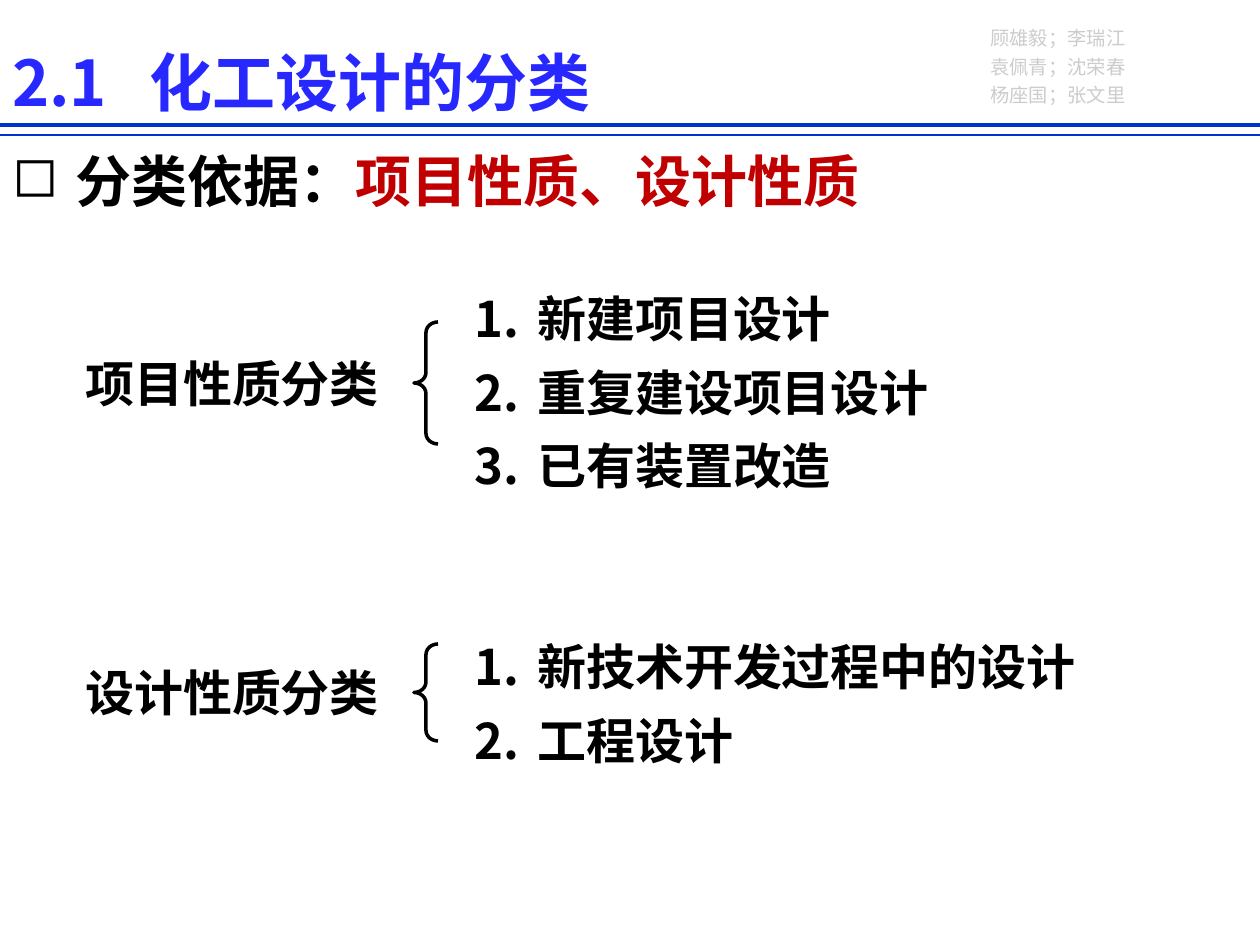
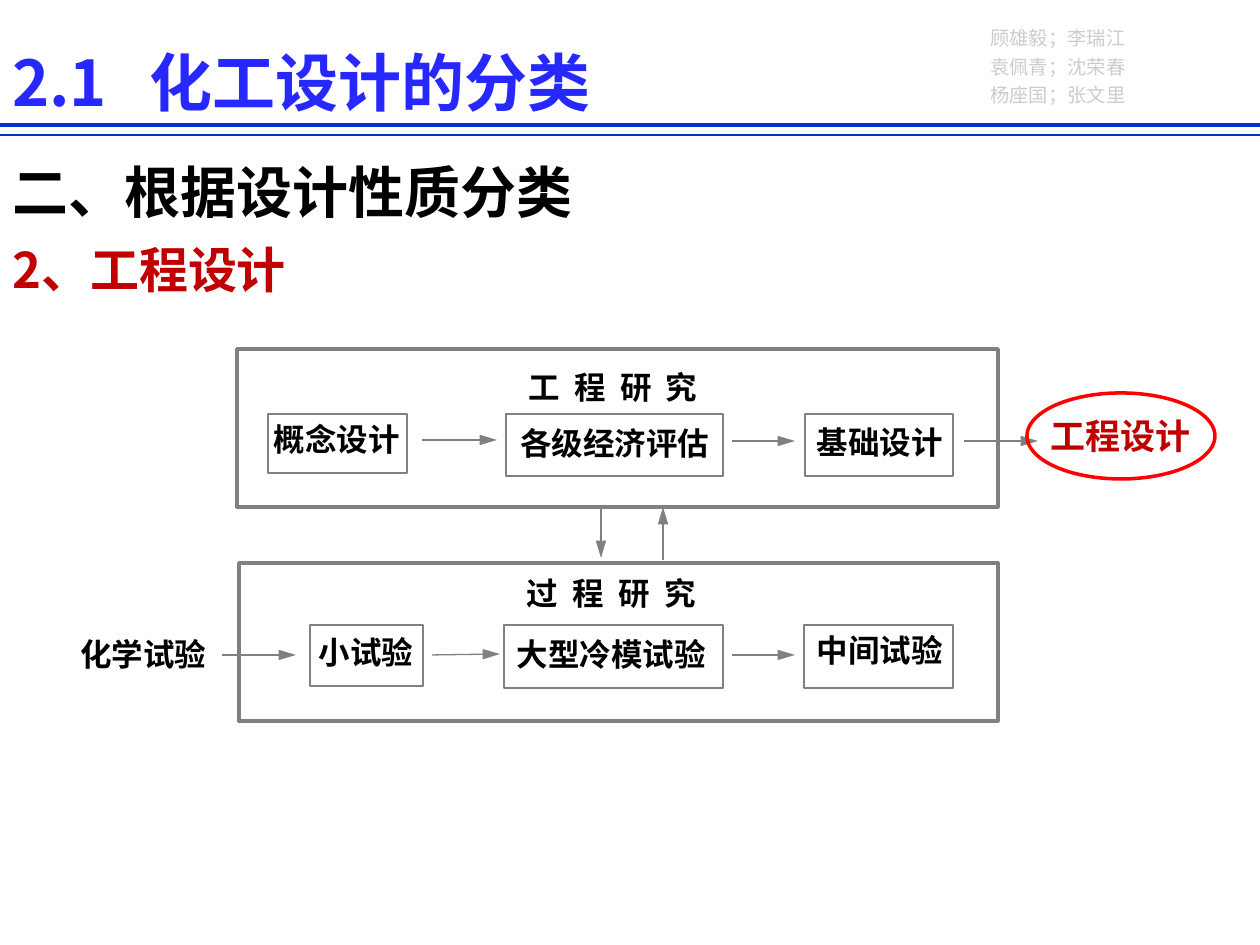
from typing import NamedTuple

from lxml.etree import SubElement as Sub
from pptx import Presentation
from pptx.dml.color import RGBColor as Rgb
from pptx.enum.shapes import MSO_CONNECTOR as Conn, MSO_SHAPE as Kind
from pptx.enum.text import MSO_AUTO_SIZE as Fit, PP_ALIGN as Align
from pptx.oxml.ns import qn
from pptx.util import Emu, Pt

DPI = 126
FACE = "Noto Sans CJK SC"
BLACK, RED, GRAY = "000000", "C00000", "808080"
BLUE, NAVY, PALE, RING = "2727FF", "0033CC", "CCCCCC", "FF0000"
INDENT = 63


class Box(NamedTuple):
    x: int
    y: int
    w: int
    h: int


class Run(NamedTuple):
    text: str
    size: int
    color: str = BLACK
    bold: bool = True
    track: int = 0


class Para(NamedTuple):
    runs: list[Run]
    align: Align = Align.LEFT
    space: float = 1.0
    mark: str = ""
    tab: int = 0


class Group(NamedTuple):
    name: Box
    title: str
    brace: Box
    list: Box
    items: list[str]


class Label(NamedTuple):
    box: Box
    text: str
    track: int = 0


class Line(NamedTuple):
    x1: int
    y1: int
    x2: int
    y2: int


AUTHORS = ["顾雄毅；李瑞江", "袁佩青；沈荣春", "杨座国；张文里"]

GROUPS = [
    Group(Box(72, 347, 320, 72), "项目性质分类", Box(414, 322, 24, 122),
          Box(462, 268, 510, 228), ["新建项目设计", "重复建设项目设计", "已有装置改造"]),
    Group(Box(72, 656, 320, 72), "设计性质分类", Box(414, 644, 24, 97),
          Box(462, 616, 634, 155), ["新技术开发过程中的设计", "工程设计"]),
]

FRAMES = [Box(237, 349, 761, 158), Box(239, 563, 759, 158)]
CELLS = [
    Box(268, 414, 139, 59), Box(506, 414, 217, 62), Box(805, 414, 148, 62),
    Box(310, 625, 113, 61), Box(504, 625, 219, 63), Box(804, 625, 149, 63),
]
LABELS = [
    Label(Box(500, 362, 226, 50), "工 程 研 究", 210),
    Label(Box(256, 414, 162, 50), "概念设计"),
    Label(Box(496, 418, 238, 50), "各级经济评估"),
    Label(Box(799, 417, 162, 50), "基础设计"),
    Label(Box(498, 568, 226, 50), "过 程 研 究", 210),
    Label(Box(285, 627, 162, 50), "小试验"),
    Label(Box(498, 629, 227, 50), "大型冷模试验"),
    Label(Box(799, 625, 162, 50), "中间试验"),
    Label(Box(63, 629, 160, 50), "化学试验"),
]
ARROWS = [
    Line(422, 440, 497, 440), Line(732, 441, 795, 441), Line(964, 441, 1038, 441),
    Line(222, 655, 296, 655), Line(432, 655, 500, 654), Line(732, 655, 795, 655),
    Line(601, 507, 601, 558), Line(663, 560, 663, 507),
]


def px(n: int) -> Emu:
    return Emu(round(n * 914400 / DPI))


def rgb(code: str) -> Rgb:
    return Rgb.from_string(code)


def put(obj, vals: dict) -> None:
    for key, val in vals.items():
        setattr(obj, key, val)


def add_run(para, run: Run) -> None:
    r = para.add_run()
    r.text = run.text
    put(r.font, {"size": Pt(run.size), "bold": run.bold, "name": FACE})
    r.font.color.rgb = rgb(run.color)
    props = r._r.get_or_add_rPr()
    Sub(props, qn("a:ea"), typeface=FACE)
    if run.track:
        props.set("spc", str(run.track))


def add_mark(para, mark: str) -> None:
    props = para._p.get_or_add_pPr()
    props.set("marL", str(px(INDENT)))
    props.set("indent", str(-px(INDENT)))
    if mark == "1.":
        Sub(props, qn("a:buFont"), typeface="+mj-lt")
        Sub(props, qn("a:buAutoNum"), type="arabicPeriod")
    else:
        Sub(props, qn("a:buChar"), char=mark)


def add_text(slide, box: Box, paras: list[Para]) -> None:
    frame = slide.shapes.add_textbox(*map(px, box)).text_frame
    put(frame, {"word_wrap": True, "auto_size": Fit.SHAPE_TO_FIT_TEXT})
    for i, item in enumerate(paras):
        para = frame.add_paragraph() if i else frame.paragraphs[0]
        if item.mark:
            add_mark(para, item.mark)
        if item.tab:
            tabs = Sub(para._p.get_or_add_pPr(), qn("a:tabLst"))
            Sub(tabs, qn("a:tab"), pos=str(px(item.tab)), algn="l")
        put(para, {"alignment": item.align, "line_spacing": item.space})
        for run in item.runs:
            add_run(para, run)


def add_shape(slide, kind: Kind, box: Box, color: str, width: float):
    shape = slide.shapes.add_shape(kind, *map(px, box))
    shape.shadow.inherit = False
    shape.fill.background()
    shape.line.color.rgb = rgb(color)
    shape.line.width = Pt(width)
    return shape


def add_line(slide, line: Line, color: str, width: float, arrow: bool = False) -> None:
    link = slide.shapes.add_connector(Conn.STRAIGHT, *map(px, line))
    link.line.color.rgb = rgb(color)
    link.line.width = Pt(width)
    if arrow:
        Sub(link.line._get_or_add_ln(), qn("a:tailEnd"), type="triangle", w="med", len="lg")
    Sub(link._element.spPr, qn("a:effectLst"))


def add_base(deck):
    slide = deck.slides.add_slide(deck.slide_layouts[6])
    add_text(slide, Box(978, 14, 179, 97),
             [Para([Run(name, 11, PALE, False)], Align.JUSTIFY, 1.25) for name in AUTHORS])
    for y, width in ((125, 2.25), (135, 1)):
        add_line(slide, Line(0, y, 1260, y), NAVY, width)
    add_text(slide, Box(0, 37, 1260, 89),
             [Para([Run("2.1\t化工设计的分类", 36, BLUE)], tab=137)])
    return slide


def add_kinds(deck) -> None:
    slide = add_base(deck)
    add_text(slide, Box(0, 140, 1260, 81),
             [Para([Run("分类依据：", 32), Run("项目性质、设计性质", 32, RED)], mark="◻")])
    for group in GROUPS:
        add_text(slide, group.name, [Para([Run(group.title, 28)], Align.CENTER)])
        brace = add_shape(slide, Kind.LEFT_BRACE, group.brace, BLACK, 2)
        brace.adjustments[0] = 0.44
        add_text(slide, group.list,
                 [Para([Run(item, 28)], space=1.25, mark="1.") for item in group.items])


def add_flow(deck) -> None:
    slide = add_base(deck)
    add_text(slide, Box(0, 135, 1245, 165), [
        Para([Run("二、根据设计性质分类", 32)], space=1.25),
        Para([Run("2、工程设计", 28, RED)], space=1.25),
    ])
    for boxes, width in ((FRAMES, 2), (CELLS, 1.5)):
        for box in boxes:
            add_shape(slide, Kind.RECTANGLE, box, GRAY, width)
    for label in LABELS:
        add_text(slide, label.box,
                 [Para([Run(label.text, 18, track=label.track)], Align.CENTER)])
    for arrow in ARROWS:
        add_line(slide, arrow, GRAY, 0.75, True)
    add_text(slide, Box(1038, 408, 166, 55), [Para([Run("工程设计", 20, RED)])])
    add_shape(slide, Kind.OVAL, Box(1027, 393, 188, 86), RING, 2)


def main() -> None:
    deck = Presentation()
    put(deck, {"slide_width": px(1260), "slide_height": px(945)})
    add_kinds(deck)
    add_flow(deck)
    deck.save("out.pptx")


if __name__ == "__main__":
    main()
